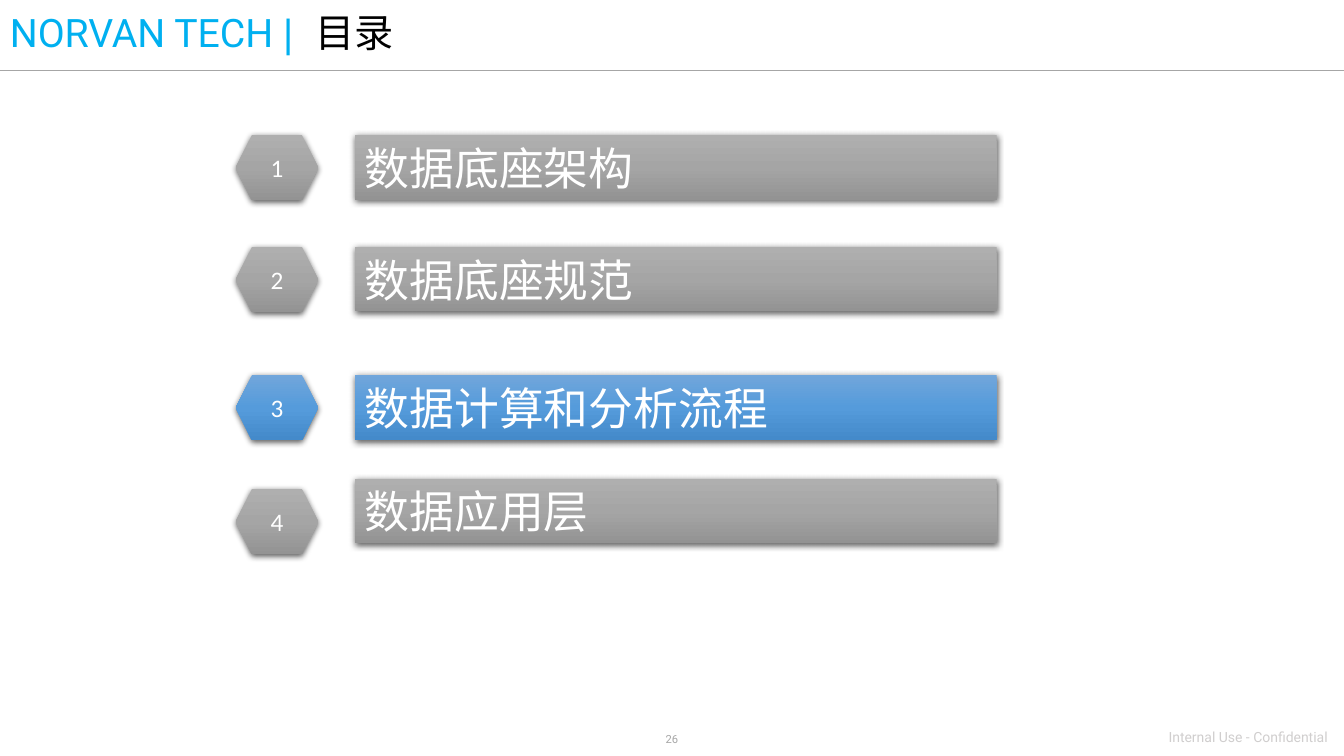
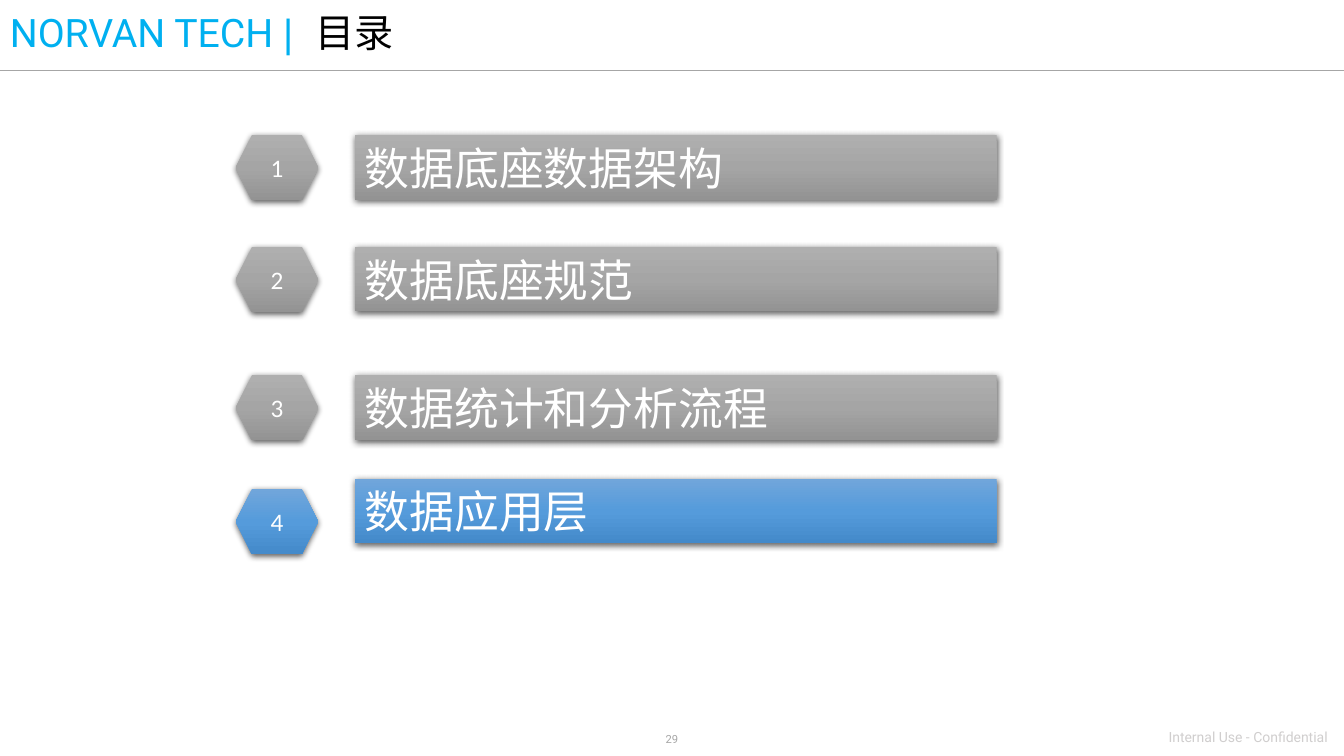
"""Build two agenda pages, each with its current section highlighted."""
from copy import deepcopy

from lxml import etree
from pptx import Presentation
from pptx.dml.color import RGBColor
from pptx.enum.shapes import MSO_CONNECTOR, MSO_SHAPE
from pptx.enum.text import MSO_ANCHOR, PP_ALIGN
from pptx.oxml.ns import qn
from pptx.util import Cm, Pt

HEXAGON = MSO_SHAPE.HEXAGON
RECTANGLE = MSO_SHAPE.RECTANGLE
STRAIGHT = MSO_CONNECTOR.STRAIGHT
LEFT = PP_ALIGN.LEFT
CENTER = PP_ALIGN.CENTER
TOP = MSO_ANCHOR.TOP
MIDDLE = MSO_ANCHOR.MIDDLE

WHITE = RGBColor(0xFF, 0xFF, 0xFF)
BLACK = RGBColor(0x00, 0x00, 0x00)
CYAN = RGBColor(0x00, 0xB0, 0xF0)
RULE_GREY = RGBColor(0xA6, 0xA6, 0xA6)
NOTICE_GREY = RGBColor(0xD0, 0xCE, 0xCE)
GREY_SHADES = (RGBColor(0xAF, 0xAF, 0xAF), RGBColor(0xA5, 0xA5, 0xA5),
               RGBColor(0x93, 0x93, 0x93))
BLUE_SHADES = (RGBColor(0x71, 0xA6, 0xDB), RGBColor(0x55, 0x9B, 0xDB),
               RGBColor(0x44, 0x8A, 0xCA))

LATIN_FONT = "Roboto"
NUMBER_FONT = "Calibri"
DIVIDER_FONT = "Arial"
CHINESE_FONT = "Noto Sans CJK SC"

PAGE_WIDTH, PAGE_HEIGHT = Cm(33.87), Cm(19.05)
RULE_TOP = Cm(1.78)
TITLE_TAB = Cm(7.7)
HEXAGON_TOPS = (3.4, 6.22, 9.45, 12.32)
BAR_TOPS = (3.4, 6.22, 9.45, 12.06)

AGENDAS = (
    ("26", 3, ("数据底座架构", "数据底座规范", "数据计算和分析流程", "数据应用层")),
    ("29", 4, ("数据底座数据架构", "数据底座规范", "数据统计和分析流程", "数据应用层")),
)


def add_span(para, text, *, size, font, color):
    """Append one formatted run, with its font set for Chinese text as well."""
    span = para.add_run()
    span.text = text
    span.font.size = Pt(size)
    span.font.color.rgb = color
    span.font.name = font
    etree.SubElement(span.font._element, qn("a:ea"), typeface=font)


def write_text(box, *spans, align=LEFT, anchor=TOP, line_spacing=None):
    """Fill a box with one paragraph of (text, format) spans."""
    frame = box.text_frame
    frame.word_wrap = True
    frame.vertical_anchor = anchor
    para = frame.paragraphs[0]
    para.alignment = align
    para.line_spacing = line_spacing
    for text, style in spans:
        add_span(para, text, **style)
    return para


def add_title(page):
    """Add the title, whose heading starts at a tab stop."""
    box = page.shapes.add_textbox(0, 0, Cm(29.2), Cm(1.75))
    para = write_text(
        box,
        ("NORVAN TECH ", dict(size=28, font=LATIN_FONT, color=CYAN)),
        ("|\t", dict(size=28, font=DIVIDER_FONT, color=CYAN)),
        ("目录", dict(size=28, font=CHINESE_FONT, color=BLACK)),
        anchor=MIDDLE, line_spacing=0.9)
    tabs = etree.SubElement(para._p.get_or_add_pPr(), qn("a:tabLst"))
    etree.SubElement(tabs, qn("a:tab"), pos=str(int(TITLE_TAB)), algn="l")


def add_rule(page):
    """Draw the thin line under the title."""
    rule = page.shapes.add_connector(STRAIGHT, 0, RULE_TOP, PAGE_WIDTH, RULE_TOP)
    rule.line.color.rgb = RULE_GREY
    rule.line.width = Pt(1)
    etree.SubElement(rule._element.spPr, qn("a:effectLst"))


def add_footer(page, number):
    """Add the page number and the confidentiality notice."""
    box = page.shapes.add_textbox(Cm(14.7), Cm(18.33), Cm(4.47), Cm(0.6))
    write_text(box, (number, dict(size=8, font=LATIN_FONT, color=RULE_GREY)),
               align=CENTER)
    box = page.shapes.add_textbox(Cm(29.2), Cm(18.24), Cm(4.67), Cm(0.68))
    write_text(box, ("Internal Use - Confidential",
                     dict(size=10, font=LATIN_FONT, color=NOTICE_GREY)))


def fill_gradient(shape, shades):
    """Shade a shape from top to bottom in three even stops."""
    shape.fill.gradient()
    shape.fill.gradient_angle = 270
    stop_list = shape._element.spPr.find(".//" + qn("a:gsLst"))
    stop_list.append(deepcopy(stop_list[-1]))
    for index, (stop, shade) in enumerate(zip(shape.fill.gradient_stops, shades)):
        stop.color.rgb = shade
        stop.position = index / 2


def cast_shadow(shape):
    """Give a shape a soft shadow just below it."""
    shape.shadow.inherit = False
    effects = shape._element.spPr.find(qn("a:effectLst"))
    shadow = etree.SubElement(
        effects, qn("a:outerShdw"), blurRad=str(int(Pt(4.5))),
        dist=str(int(Pt(1.5))), dir="5400000", algn="ctr", rotWithShape="0")
    color = etree.SubElement(shadow, qn("a:srgbClr"), val=str(BLACK))
    etree.SubElement(color, qn("a:alpha"), val="63000")


def add_block(page, kind, left, top, width, height, shades):
    """Add a shaded shape without outline."""
    block = page.shapes.add_shape(kind, Cm(left), Cm(top), Cm(width), Cm(height))
    fill_gradient(block, shades)
    block.line.fill.background()
    cast_shadow(block)
    block.text_frame.margin_top = block.text_frame.margin_bottom = 0
    return block


def add_agenda(page, sections, current):
    """Add the numbered sections, with the current one in blue."""
    rows = zip(sections, HEXAGON_TOPS, BAR_TOPS)
    for number, (section, hexagon_top, bar_top) in enumerate(rows, start=1):
        shades = BLUE_SHADES if number == current else GREY_SHADES
        badge = add_block(page, HEXAGON, 5.94, hexagon_top, 2.08, 1.65, shades)
        write_text(badge, (str(number), dict(size=18, font=NUMBER_FONT, color=WHITE)),
                   align=CENTER, anchor=MIDDLE)
        bar = add_block(page, RECTANGLE, 8.94, bar_top, 16.18, 1.63, shades)
        write_text(bar, (section, dict(size=32, font=CHINESE_FONT, color=WHITE)),
                   anchor=MIDDLE)


def main():
    """Build and save the deck."""
    deck = Presentation()
    deck.slide_width, deck.slide_height = PAGE_WIDTH, PAGE_HEIGHT
    blank_layout = deck.slide_layouts[6]
    for page_number, current, sections in AGENDAS:
        page = deck.slides.add_slide(blank_layout)
        add_rule(page)
        add_footer(page, page_number)
        add_title(page)
        add_agenda(page, sections, current)
    deck.save("out.pptx")


if __name__ == "__main__":
    main()
